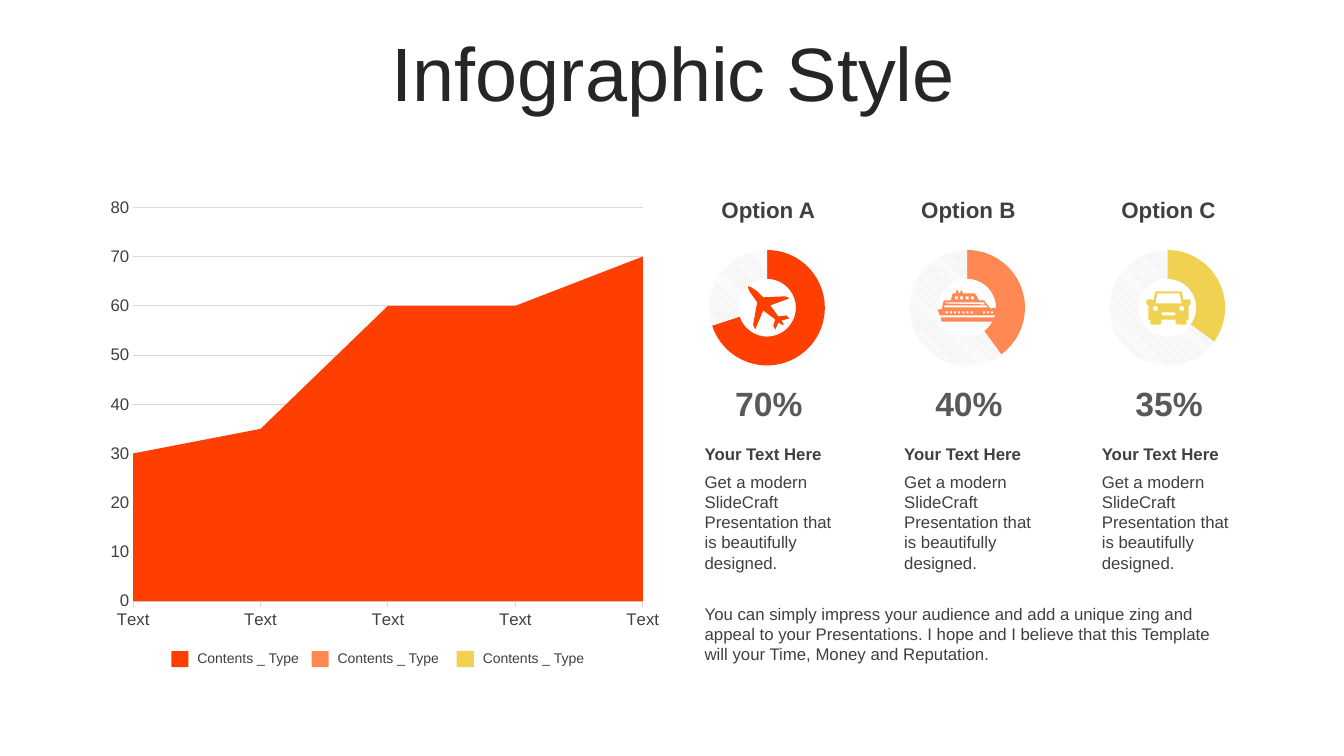
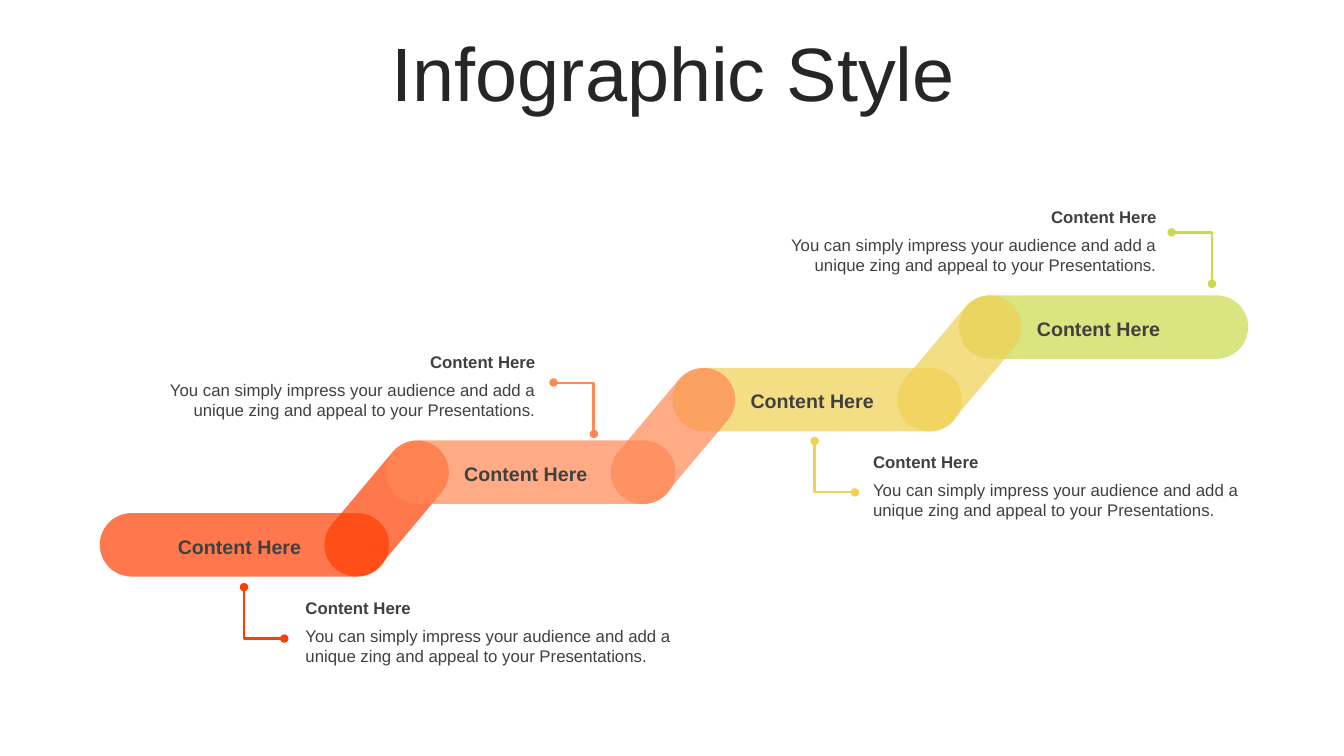
import math

import lxml.etree
import pptx
import pptx.chart.data
import pptx.dml.color
import pptx.enum.chart
import pptx.enum.dml
import pptx.enum.shapes
import pptx.enum.text
import pptx.oxml.ns
import pptx.util

Inches = pptx.util.Inches
Pt = pptx.util.Pt
qn = pptx.oxml.ns.qn
ALIGN = pptx.enum.text.PP_ALIGN
ANCHOR = pptx.enum.text.MSO_ANCHOR
SHAPE = pptx.enum.shapes.MSO_SHAPE
CHART = pptx.enum.chart.XL_CHART_TYPE

FONT = "Arial"
RED, ORANGE, YELLOW, GREEN = "FF3F02", "FF8853", "F0D152", "CADA4C"
TITLE_INK, INK, SOFT_INK, RULE = "262626", "404040", "595959", "D9D9D9"
IMPRESS = "You can simply impress your audience and add a unique zing and appeal to your Presentations."


def rgb(value):
    return pptx.dml.color.RGBColor.from_string(value)


def rectangle(left, top, width, height):
    """Corner points of one rectangular contour."""
    right, bottom = left + width, top + height
    return [(left, top), (right, top), (right, bottom), (left, bottom)]


def circle(x, y, radius):
    """Contour points of a small circle."""
    angles = [math.tau * step / 16 for step in range(16)]
    return [(x + radius * math.cos(a), y + radius * math.sin(a)) for a in angles]


def mirrored(center, half):
    """Close a contour from its right half, given as offsets from the center."""
    right = [(center + offset, y) for offset, y in half]
    left = [(center - offset, y) for offset, y in reversed(half)]
    return right + left


class Deck:
    """Shared style and the slide being drawn."""

    def __init__(self):
        self.deck = pptx.Presentation()
        self.deck.slide_width, self.deck.slide_height = Inches(13.33), Inches(7.5)
        self.page = None

    def start_page(self, title):
        self.page = self.deck.slides.add_slide(self.deck.slide_layouts[5])
        box = self.page.shapes.title
        box.left, box.top, box.width, box.height = map(Inches, (0.35, 0.37, 12.66, 0.79))
        box.text_frame.vertical_anchor = ANCHOR.MIDDLE
        para = box.text_frame.paragraphs[0]
        para.text, para.alignment, para.line_spacing = title, ALIGN.CENTER, 0.9
        self.style_font(para.font, 54, TITLE_INK)

    def style_font(self, font, size, color, bold=False):
        font.name, font.size, font.bold = FONT, Pt(size), bold
        font.color.rgb = rgb(color)

    def text(self, place, words, size=12, color=INK, bold=False, align=ALIGN.LEFT,
             anchor=ANCHOR.TOP, inset=0.1):
        box = self.page.shapes.add_textbox(*map(Inches, place))
        frame = box.text_frame
        frame.word_wrap = True
        frame.auto_size = pptx.enum.text.MSO_AUTO_SIZE.SHAPE_TO_FIT_TEXT
        frame.vertical_anchor, frame.margin_left = anchor, Inches(inset)
        para = frame.paragraphs[0]
        para.text, para.alignment = words, align
        self.style_font(para.font, size, color, bold)

    def paint(self, shape, color):
        shape.shadow.inherit = False
        shape.fill.solid()
        shape.fill.fore_color.rgb = rgb(color)
        shape.line.fill.background()

    def square(self, place, color):
        self.paint(self.page.shapes.add_shape(SHAPE.RECTANGLE, *map(Inches, place)), color)

    def pill(self, place, color, rotation=0):
        """Fully rounded bar, 70 % opaque."""
        shape = self.page.shapes.add_shape(SHAPE.ROUNDED_RECTANGLE, *map(Inches, place))
        shape.adjustments[0] = 0.5
        shape.rotation = rotation
        self.paint(shape, color)
        tint = shape._element.spPr.find(".//" + qn("a:srgbClr"))
        lxml.etree.SubElement(tint, qn("a:alpha")).set("val", "70000")

    def icon(self, contours, color):
        """One freeform; inner contours become holes."""
        builder = None
        for contour in contours:
            points = [(Inches(x), Inches(y)) for x, y in contour]
            if builder is None:
                builder = self.page.shapes.build_freeform(*points[0])
            else:
                builder.move_to(*points[0])
            builder.add_line_segments(points[1:], close=True)
        self.paint(builder.convert_to_shape(), color)

    def elbow(self, x, y, color, below):
        """L-shaped connector around a center, turned a quarter and flipped by side."""
        left, right, top, bottom = x - 0.255, x + 0.255, y - 0.2, y + 0.2
        ends = (right, top, left, bottom) if below else (left, bottom, right, top)
        connector = self.page.shapes.add_connector(
            pptx.enum.shapes.MSO_CONNECTOR.ELBOW, *map(Inches, ends))
        connector.line.color.rgb, connector.line.width = rgb(color), Pt(2)
        properties = connector._element.spPr
        properties.find(qn("a:xfrm")).set("rot", str(270 * 60000))
        adjusts = properties.find(qn("a:prstGeom")).get_or_add_avLst()
        guide = lxml.etree.SubElement(adjusts, qn("a:gd"))
        guide.set("name", "adj1")
        guide.set("fmla", "val 99200")
        for end in ("a:headEnd", "a:tailEnd"):
            lxml.etree.SubElement(properties.find(qn("a:ln")), qn(end)).set("type", "oval")
        lxml.etree.SubElement(properties, qn("a:effectLst"))

    def chart(self, kind, place, categories, series, plot_area, size):
        """Bare chart; plot_area is x, y, w, h as shares of the chart."""
        data = pptx.chart.data.CategoryChartData()
        data.categories = categories
        for number, values in enumerate(series, 1):
            data.add_series(f"Series {number}", values)
        chart = self.page.shapes.add_chart(kind, *map(Inches, place), data).chart
        chart.has_legend = chart.has_title = False
        self.style_font(chart.font, size, "000000")
        chart.plots[0].has_data_labels = False
        area = chart._chartSpace.find(".//" + qn("c:plotArea"))
        for layout in area.findall(qn("c:layout")):
            area.remove(layout)
        layout = lxml.etree.Element(qn("c:layout"))
        area.insert(0, layout)
        manual = lxml.etree.SubElement(layout, qn("c:manualLayout"))
        settings = [("layoutTarget", "inner"), ("xMode", "edge"), ("yMode", "edge")]
        for name, value in settings + list(zip("xywh", plot_area)):
            lxml.etree.SubElement(manual, qn("c:" + name)).set("val", str(value))
        return chart

    def ring(self, place, percent, color):
        chart = self.chart(CHART.DOUGHNUT, place, ["1", "2"], [[percent, 100 - percent]],
                           (0, 0, 0.98, 0.94), 18)
        chart._chartSpace.find(".//" + qn("c:holeSize")).set("val", "85")
        done, rest = [chart.plots[0].series[0].points[i].format for i in range(2)]
        done.fill.solid()
        done.fill.fore_color.rgb = rgb(color)
        rest.fill.patterned()
        rest.fill.pattern = pptx.enum.dml.MSO_PATTERN.LIGHT_DOWNWARD_DIAGONAL
        rest.fill.fore_color.rgb, rest.fill.back_color.rgb = rgb(RULE), rgb("FFFFFF")
        for part in (done, rest):
            part.line.fill.background()

    def area_chart(self, place, categories, series, colors):
        chart = self.chart(CHART.AREA, place, categories, series, (0.06, 0.04, 0.89, 0.88), 10)
        for item, color in zip(chart.plots[0].series, colors):
            item.format.fill.solid()
            item.format.fill.fore_color.rgb = rgb(color)
        ticks = pptx.enum.chart.XL_TICK_MARK
        category, value = chart.category_axis, chart.value_axis
        for axis in (category, value):
            self.style_font(axis.tick_labels.font, 12, INK)
            axis.minor_tick_mark = ticks.NONE
        category.has_major_gridlines = False
        category.major_tick_mark, value.major_tick_mark = ticks.OUTSIDE, ticks.NONE
        value.minimum_scale, value.maximum_scale, value.major_unit = 0, 80, 10
        value.has_major_gridlines = True
        for line in (category.format.line, value.major_gridlines.format.line):
            line.color.rgb, line.width = rgb(RULE), Pt(0.75)
        value.format.line.fill.background()
        value._element.find(qn("c:crossBetween")).set("val", "midCat")


def plane_icon():
    return [[
        (7.83, 3.16), (7.75, 3.18), (7.77, 3.21), (7.77, 3.23), (7.72, 3.2), (7.69, 3.27),
        (7.67, 3.23), (7.69, 3.17), (7.57, 3.08), (7.49, 3.27), (7.47, 3.22), (7.51, 3),
        (7.44, 2.9), (7.42, 2.86), (7.42, 2.84), (7.45, 2.85), (7.51, 2.89), (7.57, 2.95),
        (7.79, 2.94), (7.83, 2.96), (7.64, 3.03), (7.72, 3.14), (7.8, 3.13)]]


def ship_icon():
    hull = [(9.33, 3.15), (9.88, 3.15), (9.85, 3.19), (9.34, 3.19)]
    body = [
        (9.53, 2.88), (9.54, 2.88), (9.55, 2.91), (9.67, 2.91), (9.71, 2.98), (9.76, 2.98),
        (9.82, 3.06), (9.92, 3.05), (9.91, 3.09), (9.88, 3.13), (9.32, 3.13), (9.3, 3.07),
        (9.34, 3.07), (9.36, 2.98), (9.43, 2.98), (9.45, 2.91), (9.48, 2.91), (9.48, 2.88),
        (9.5, 2.88), (9.51, 2.91), (9.52, 2.91)]
    decks = [[(9.37, 3.03), (9.36, 3.05), (9.8, 3.05), (9.78, 3.03)],
             [(9.38, 3), (9.37, 3.01), (9.77, 3.02), (9.76, 3)]]
    portholes = [rectangle(9.38 + 0.041 * i, 3.09, 0.02, 0.02)
                 for i in (*range(7), *range(9, 12))]
    windows = [rectangle(9.47 + 0.053 * i, 2.94, 0.03, 0.03) for i in range(4)]
    return [hull, body, *decks, *portholes, *windows]


def car_icon():
    center = 11.59
    body = [(0.13, 2.89), (0.15, 2.98), (0.17, 2.97), (0.2, 2.97), (0.22, 2.98), (0.22, 3.02),
            (0.2, 3.03), (0.2, 3.17), (0.18, 3.17), (0.18, 3.21), (0.17, 3.22), (0.09, 3.22),
            (0.07, 3.21), (0.07, 3.17)]
    window = [(0.11, 2.91), (0.13, 3.01)]
    grille = [(0.06, 3.1), (0.07, 3.11), (0.07, 3.12), (0.06, 3.13)]
    lights = [circle(center + side * 0.13, 3.06, 0.025) for side in (-1, 1)]
    return [*(mirrored(center, half) for half in (body, window, grille)), *lights]


def build_options_page(deck):
    deck.start_page("Infographic Style")
    deck.area_chart((0.98, 1.88, 5.68, 4.44), ["Text"] * 5,
                    [[30, 35, 60, 60, 70], [30, 25, 35, 30, 40], [10, 15, 25, 30, 35]],
                    [RED, ORANGE, YELLOW])
    for left, color in ((1.7, RED), (3.09, ORANGE), (4.53, YELLOW)):
        deck.square((left, 6.46, 0.17, 0.16), color)
        deck.text((left + 0.16, 6.39, 1.26, 0.27), "Contents _ Type", 10, anchor=ANCHOR.MIDDLE)

    options = [("A", 70, RED, plane_icon(), 6.89), ("B", 40, ORANGE, ship_icon(), 8.87),
               ("C", 35, YELLOW, car_icon(), 10.83)]
    for column, (letter, percent, color, icon, text_left) in enumerate(options):
        left = 6.8 + 1.985 * column
        deck.text((left, 1.9, 1.64, 0.37), f"Option {letter}", 16, bold=True, align=ALIGN.CENTER)
        deck.ring((left + 0.23, 2.48, 1.18, 1.22), percent, color)
        deck.icon(icon, color)
        deck.text((left + 0.35, 3.75, 0.95, 0.5), f"{percent}%", 24, SOFT_INK, True,
                  ALIGN.CENTER, ANCHOR.MIDDLE)
        deck.text((text_left, 4.35, 1.5, 0.3), "Your Text Here", bold=True)
        deck.text((text_left, 4.63, 1.5, 1.11),
                  "Get a modern SlideCraft Presentation that is beautifully designed.")
    deck.text((6.89, 5.94, 5.29, 0.71),
              "You can simply impress your audience and add a unique zing and appeal to your "
              "Presentations. I hope and I believe that this Template will your Time, Money "
              "and Reputation.")


def build_steps_page(deck):
    deck.start_page("Infographic Style")
    colors = [RED, ORANGE, YELLOW, GREEN]
    bars = [(0.99 + 2.84 * step, 5.09 - 0.72 * step) for step in range(4)]

    def draw_link(step):
        left, top = bars[step]
        deck.pill((left + 2.06, top - 0.36, 1.57, 0.63), colors[step], 310)

    for step, (left, top) in enumerate(bars):
        deck.pill((left, top, 2.87, 0.63), colors[step])
        if step == 0:
            draw_link(step)
    for step in (1, 2):
        draw_link(step)

    # Callout left, top and width, then the center of its elbow
    callouts = [(3.03, 5.88, 3.88, 2.62, 6.08), (1.45, 3.44, 3.96, 5.69, 4.05),
                (8.66, 4.43, 3.73, 8.28, 4.63), (7.61, 2, 3.96, 11.82, 2.56)]
    for step, (left, top, width, elbow_x, elbow_y) in enumerate(callouts):
        bar_left, bar_top = bars[step]
        below = step % 2 == 0
        align = ALIGN.LEFT if below else ALIGN.RIGHT
        deck.text((bar_left + 0.61, bar_top + 0.16, 1.65, 0.34), "Content Here", 14, bold=True,
                  align=ALIGN.CENTER, anchor=ANCHOR.MIDDLE, inset=0)
        deck.text((left, top, width, 0.3), "Content Here", bold=True, align=align,
                  anchor=ANCHOR.MIDDLE, inset=0)
        deck.text((left, top + 0.28, width, 0.5), IMPRESS, align=align, inset=0)
        deck.elbow(elbow_x, elbow_y, colors[step], below)


def main():
    deck = Deck()
    build_options_page(deck)
    build_steps_page(deck)
    deck.deck.save("out.pptx")


if __name__ == "__main__":
    main()
